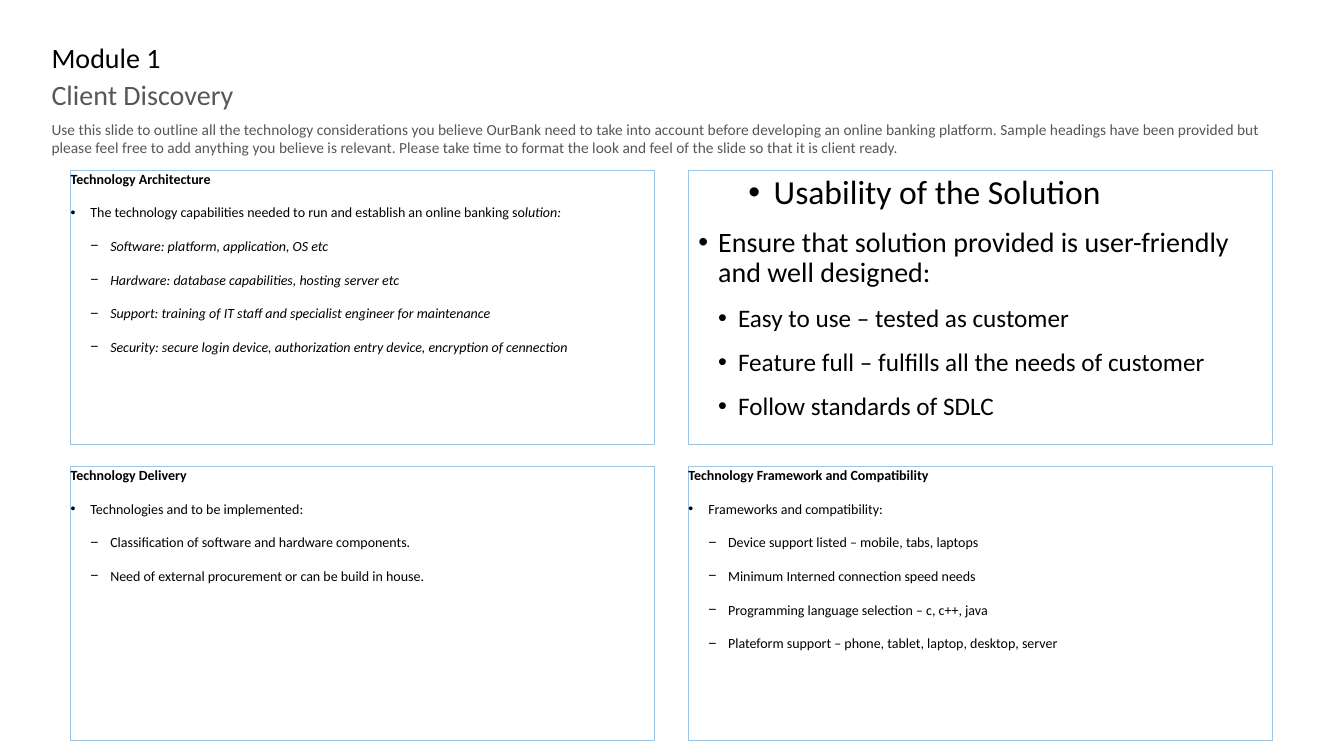
"""Builds the Module 1 client discovery slide with four technology panels."""
from lxml import etree
from pptx import Presentation
from pptx.dml.color import RGBColor
from pptx.enum.shapes import MSO_SHAPE
from pptx.enum.text import MSO_ANCHOR, PP_ALIGN
from pptx.oxml.ns import qn
from pptx.util import Cm, Pt

RECTANGLE = MSO_SHAPE.RECTANGLE
TOP = MSO_ANCHOR.TOP
LEFT = PP_ALIGN.LEFT
BLACK = RGBColor(0x00, 0x00, 0x00)
GREY = RGBColor(0x57, 0x57, 0x57)
PALE_BLUE = RGBColor(0x9D, 0xC3, 0xE6)
FONT = "Calibri"

INTRO = (
    "Use this slide to outline all the technology considerations you believe OurBank need "
    "to take into account before developing an online banking platform. Sample headings have "
    "been provided but please feel free to add anything you believe is relevant. Please take "
    "time to format the look and feel of the slide so that it is client ready."
)

# text, top, width, height, size, colour, line spacing, space before, space after
HEADINGS = [
    ("Module 1", 1.12, 25.45, 0.94, 20, BLACK, 0.9, 0, 0),
    ("Client Discovery", 2.06, 25.45, 1.04, 20, GREY, 0.9, 10, 0),
    (INTRO, 3.02, 31.29, 1.12, 11, GREY, 1, 0, 10),
]

# level styles: left margin, first line indent, bullet, size, bold
COMPACT = {
    "inset": (0, 0),
    "spacing": 1,
    "levels": [(0, 0, None, 10, True), (0.5, -0.5, "•", 10, False), (1, -0.5, "−", 10, False)],
}
LARGE = {
    "inset": (0.25, 0.13),
    "spacing": 0.9,
    "levels": [(1.9, -0.64, "•", 24, False), (0.5, -0.5, "•", 20, False), (1, -0.5, "•", 18, False)],
}

# column, row, style, heading, lead (upright part, italic part), points, italic points
PANELS = [
    (0, 0, COMPACT, "Technology Architecture",
     ("The technology capabilities needed to run and establish an online banking so", "lution:"),
     ["Software: platform, application, OS etc",
      "Hardware: database capabilities, hosting server etc",
      "Support: training of IT staff and specialist engineer for maintenance",
      "Security: secure login device, authorization entry device, encryption of cennection"], True),
    (1, 0, LARGE, "Usability of the Solution",
     ("Ensure that solution provided is user-friendly and well designed:", ""),
     ["Easy to use – tested as customer",
      "Feature full – fulfills all the needs of customer",
      "Follow standards of SDLC"], False),
    (0, 1, COMPACT, "Technology Delivery",
     ("Technologies and to be implemented:", ""),
     ["Classification of software and hardware components.",
      "Need of external procurement or can be build in house."], False),
    (1, 1, COMPACT, "Technology Framework and Compatibility",
     ("Frameworks and compatibility:", ""),
     ["Device support listed – mobile, tabs, laptops",
      "Minimum Interned connection speed needs",
      "Programming language selection – c, c++, java",
      "Plateform support – phone, tablet, laptop, desktop, server"], False),
]
HEADING_LEFT = 1.3
PANEL_LEFT, PANEL_TOP = 1.78, 4.29
PANEL_WIDTH, PANEL_HEIGHT = 14.71, 6.91
COLUMN_STEP, ROW_STEP = 15.57, 7.47


def prepare_frame(box, inset):
    frame = box.text_frame
    frame.word_wrap = True
    frame.vertical_anchor = TOP
    frame.margin_left = frame.margin_right = Cm(inset[0])
    frame.margin_top = frame.margin_bottom = Cm(inset[1])
    return frame


def set_spacing(para, line, before, after):
    para.alignment = LEFT
    para.line_spacing = line
    para.space_before = Pt(before)
    para.space_after = Pt(after)


def add_span(para, text, size, colour, bold=False, italic=False):
    span = para.add_run()
    span.text = text
    span.font.name = FONT
    span.font.size = Pt(size)
    span.font.color.rgb = colour
    span.font.bold = bold
    span.font.italic = italic


def set_bullet(para, margin, indent, bullet):
    properties = para._p.get_or_add_pPr()
    properties.set("marL", str(Cm(margin)))
    properties.set("indent", str(Cm(indent)))
    if bullet:
        etree.SubElement(properties, qn("a:buFont")).set("typeface", "Arial")
        etree.SubElement(properties, qn("a:buChar")).set("char", bullet)
    else:
        etree.SubElement(properties, qn("a:buNone"))


def add_heading(page, text, top, width, height, size, colour, line, before, after):
    box = page.shapes.add_textbox(Cm(HEADING_LEFT), Cm(top), Cm(width), Cm(height))
    para = prepare_frame(box, (0, 0)).paragraphs[0]
    set_spacing(para, line, before, after)
    add_span(para, text, size, colour)


def add_panel(page, column, row, style, heading, lead, points, italic):
    box = page.shapes.add_shape(
        RECTANGLE,
        Cm(PANEL_LEFT + column * COLUMN_STEP), Cm(PANEL_TOP + row * ROW_STEP),
        Cm(PANEL_WIDTH), Cm(PANEL_HEIGHT),
    )
    box.shadow.inherit = False
    box.fill.background()
    box.line.color.rgb = PALE_BLUE
    box.line.width = Pt(0.75)
    frame = prepare_frame(box, style["inset"])
    upright, slanted = lead
    rows = [(0, [(heading, False)]), (1, [(upright, False), (slanted, True)])]
    rows += [(2, [(point, italic)]) for point in points]
    for number, (level, parts) in enumerate(rows):
        para = frame.add_paragraph() if number else frame.paragraphs[0]
        margin, indent, bullet, size, bold = style["levels"][level]
        para.level = level
        set_spacing(para, style["spacing"], 6, 6)
        set_bullet(para, margin, indent, bullet)
        for text, sloped in parts:
            if text:
                add_span(para, text, size, BLACK, bold, sloped)


def main():
    deck = Presentation()
    deck.slide_width, deck.slide_height = Cm(33.87), Cm(19.05)
    page = deck.slides.add_slide(deck.slide_layouts[6])
    for panel in PANELS:
        add_panel(page, *panel)
    for heading in HEADINGS:
        add_heading(page, *heading)
    deck.save("out.pptx")


if __name__ == "__main__":
    main()
